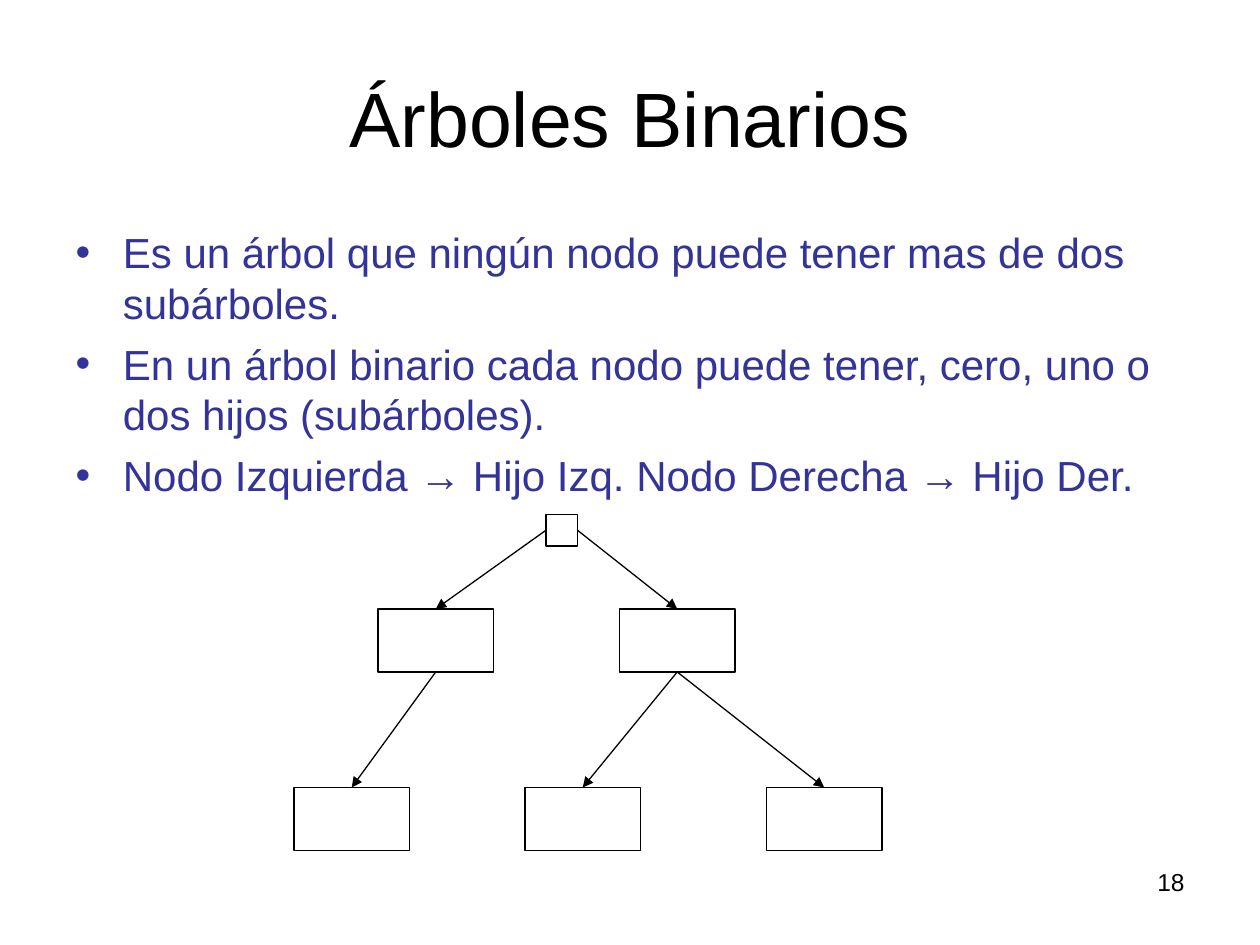
"""Build the slide on binary trees: title, three bullets and a tree diagram."""
from dataclasses import dataclass
from typing import Any

from lxml import etree
from pptx import Presentation
from pptx.enum import shapes as kinds, text as txt
from pptx.oxml import ns
from pptx.util import Pt

COLORS = {"ink": "000000", "bullets": "333399"}
TOP, LEFT, BOTTOM, RIGHT = range(4)
BULLETS = [
    "Es un árbol que ningún nodo puede tener mas de dos subárboles.",
    "En un árbol binario cada nodo puede tener, cero, uno o dos hijos (subárboles).",
    "Nodo Izquierda → Hijo Izq. Nodo Derecha → Hijo Der.",
]


@dataclass(frozen=True)
class Node:
    left: float
    top: float
    width: float = 66
    height: float = 36


@dataclass(frozen=True)
class Branch:
    parent: str
    side: int
    child: str


NODES = {
    "root": Node(312, 294, 18, 18),
    "left": Node(216, 348),
    "right": Node(354, 348),
    "left_left": Node(168, 450),
    "right_left": Node(300, 450),
    "right_right": Node(438, 450),
}
BRANCHES = [
    Branch("root", LEFT, "left"),
    Branch("root", RIGHT, "right"),
    Branch("left", BOTTOM, "left_left"),
    Branch("right", BOTTOM, "right_left"),
    Branch("right", BOTTOM, "right_right"),
]


def set_all(target: Any, values: dict[str, Any]) -> None:
    """Set every attribute named in values on target."""
    for name, value in values.items():
        setattr(target, name, value)


def place(holder: Any, left: float, top: float, width: float, height: float) -> None:
    """Move and size a placeholder, in points."""
    set_all(holder, {"left": Pt(left), "top": Pt(top), "width": Pt(width), "height": Pt(height)})


def write(holder: Any, lines: list[str], size: float, color: str, anchor: Any, paragraph_format: dict[str, Any]) -> None:
    """Fill a text holder with one formatted paragraph per line."""
    frame = holder.text_frame
    frame.text = "\n".join(lines)
    set_all(frame, {"word_wrap": True, "auto_size": txt.MSO_AUTO_SIZE.NONE, "vertical_anchor": anchor})
    for paragraph in frame.paragraphs:
        set_all(paragraph, paragraph_format)
        for run in paragraph.runs:
            set_all(run.font, {"name": "Arial", "size": Pt(size)})
            run.font.color.rgb = ns_color(color)


def ns_color(name: str) -> Any:
    """Return the named palette colour."""
    return RGBColor.from_string(COLORS[name])


def outline(shape: Any) -> None:
    """Give a box or a branch the thin black line."""
    shape.line.width = Pt(0.75)
    shape.line.color.rgb = ns_color("ink")


def draw_node(slide: Any, node: Node) -> Any:
    """Draw one empty node box."""
    box = slide.shapes.add_shape(
        kinds.MSO_SHAPE.RECTANGLE, Pt(node.left), Pt(node.top), Pt(node.width), Pt(node.height)
    )
    box.shadow.inherit = False
    box.fill.background()
    outline(box)
    return box


def draw_branch(slide: Any, parent: Any, side: int, child: Any) -> None:
    """Join a parent's side to the top of its child with an arrow."""
    arrow = slide.shapes.add_connector(kinds.MSO_CONNECTOR.STRAIGHT, 0, 0, 0, 0)
    arrow.begin_connect(parent, side)
    arrow.end_connect(child, TOP)
    outline(arrow)
    etree.SubElement(arrow.line._get_or_add_ln(), ns.qn("a:tailEnd"), type="triangle")
    etree.SubElement(arrow._element.spPr, ns.qn("a:effectLst"))


def main() -> None:
    """Build and save the slide."""
    deck = Presentation()
    set_all(deck, {"slide_width": Pt(720), "slide_height": Pt(540)})
    slide = deck.slides.add_slide(deck.slide_layouts[1])

    title, body = slide.placeholders
    place(title, 36, 21.6, 648, 90)
    write(title, ["Árboles Binarios"], 44, "ink", txt.MSO_ANCHOR.MIDDLE, {"alignment": txt.PP_ALIGN.CENTER})
    place(body, 36, 126, 648, 172)
    write(body, BULLETS, 24, "bullets", txt.MSO_ANCHOR.TOP, {"space_before": Pt(6)})

    boxes = {name: draw_node(slide, node) for name, node in NODES.items()}
    for branch in BRANCHES:
        draw_branch(slide, boxes[branch.parent], branch.side, boxes[branch.child])

    page_number = slide.shapes.add_textbox(Pt(516), Pt(492), Pt(168), Pt(37.5))
    write(page_number, ["18"], 14, "ink", txt.MSO_ANCHOR.TOP, {"alignment": txt.PP_ALIGN.RIGHT})
    deck.save("out.pptx")


from pptx.dml.color import RGBColor

if __name__ == "__main__":
    main()
